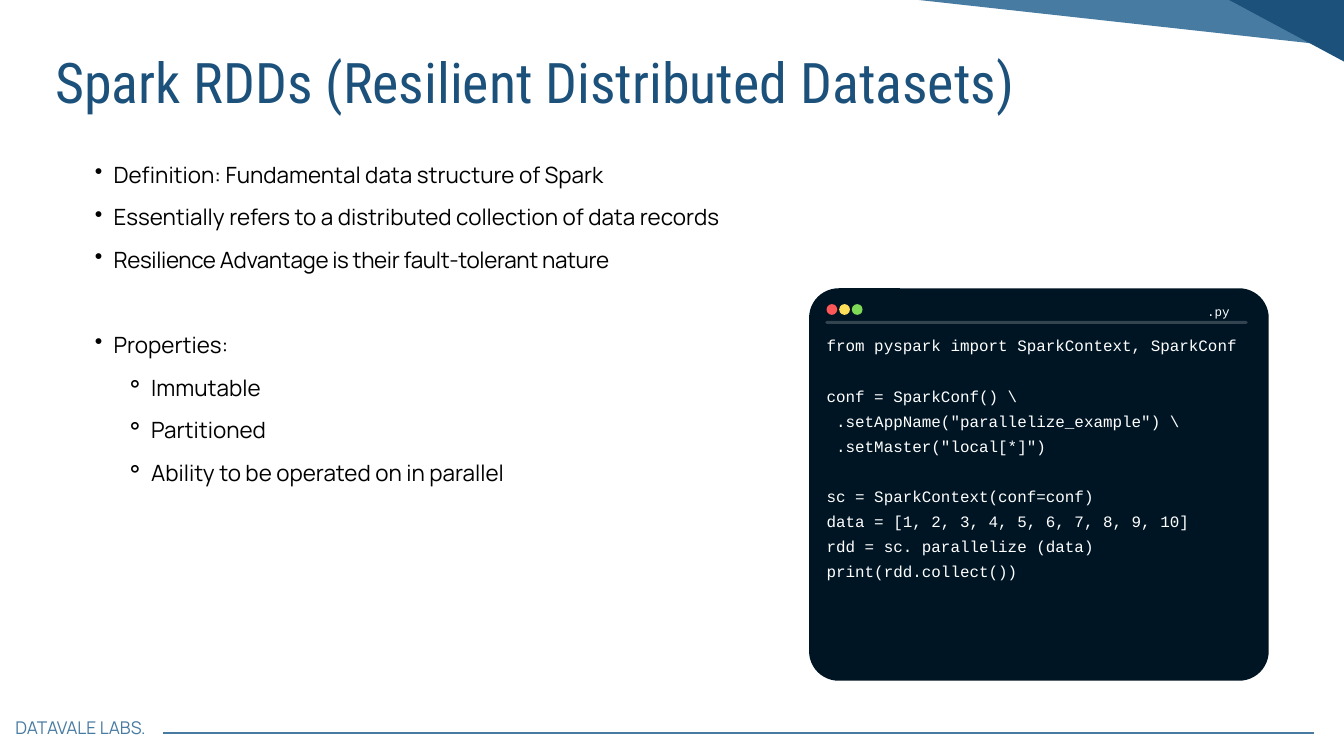
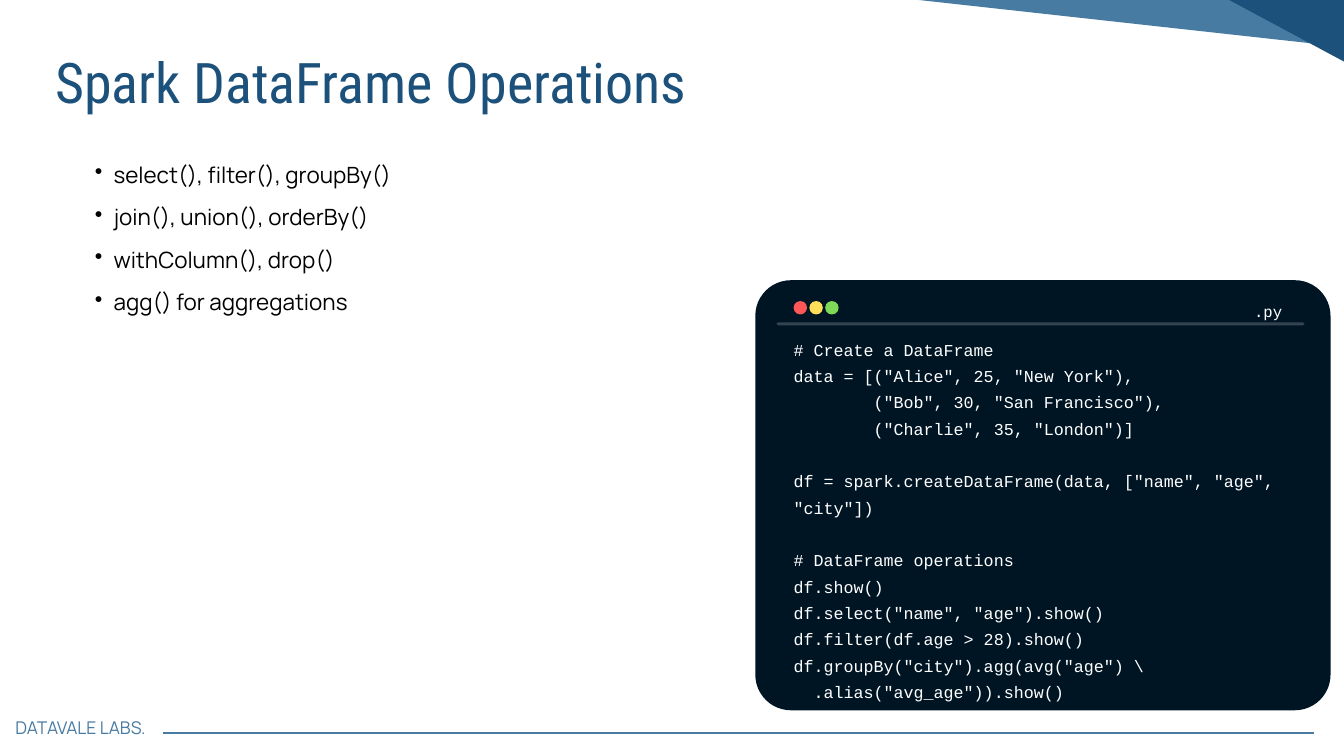
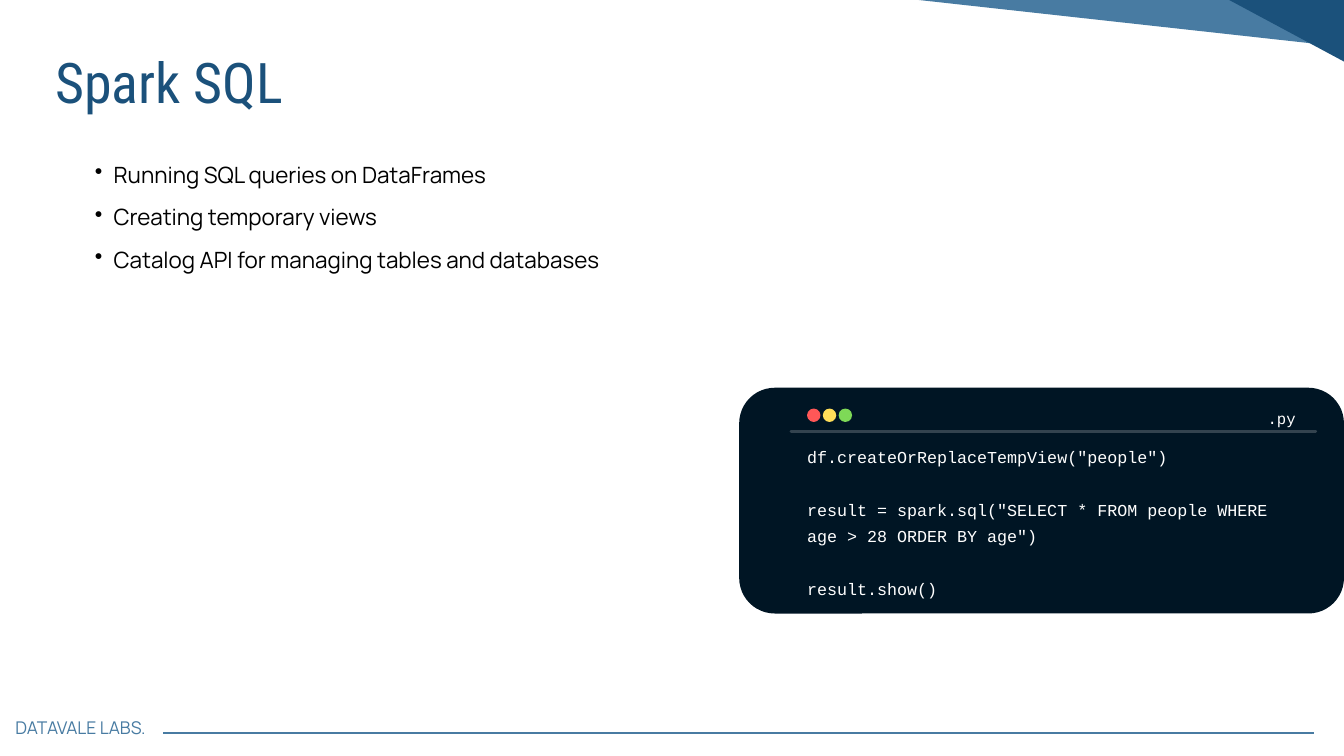
from lxml import etree
from pptx import Presentation
from pptx.dml.color import RGBColor
from pptx.enum import shapes as kinds, text
from pptx.oxml import ns
from pptx.util import Inches, Pt

HUES = {"navy": "1B517B", "steel": "487BA2", "night": "001524", "black": "000000",
        "white": "FFFFFF", "red": "FF5757", "gold": "FFDE59", "green": "7ED957"}
KIND = kinds.MSO_SHAPE
MARKS = {1: ("•", 0.57, -0.28), 2: ("⚬", 1.13, -0.38)}
BANDS = [((16.52, -3.26, 0.59, 6.62), 96.3, "steel"),
         ((18.9, -0.99, 0.89, 2.1), 298.2, "navy")]
MONO = "Courier New"

# Places in a window: panel box, corner radius, left of rule, rule weight,
# code box (left, top, width, height), right edge of the tag, scale of the bar
PAGES = [
    {"title": "Spark RDDs (Resilient Distributed Datasets)",
     "points": [(1, "Definition: Fundamental data structure of Spark"),
                (1, "Essentially refers to a distributed collection of data records"),
                (1, "Resilience Advantage is their fault-tolerant nature"),
                (0, ""),
                (1, "Properties:"),
                (2, "Immutable"),
                (2, "Partitioned"),
                (2, "Ability to be operated on in parallel")],
     "panel": (12.04, 4.29, 6.84, 5.84), "round": 0.44,
     "rule": 12.3, "weight": 3, "box": (12.3, 4.91, 6.41, 3.97), "right": 18.3,
     "scale": 0.8, "size": 17, "lead": 26.9,
     "code": r'''from pyspark import SparkContext, SparkConf

conf = SparkConf() \
 .setAppName("parallelize_example") \
 .setMaster("local[*]")

sc = SparkContext(conf=conf)
data = [1, 2, 3, 4, 5, 6, 7, 8, 9, 10]
rdd = sc. parallelize (data)
print(rdd.collect())'''},
    {"title": "Spark DataFrame Operations",
     "points": [(1, "select(), filter(), groupBy()"),
                (1, "join(), union(), orderBy()"),
                (1, "withColumn(), drop()"),
                (1, "agg() for aggregations")],
     "panel": (11.24, 4.17, 8.56, 6.4), "round": 0.53,
     "rule": 11.58, "weight": 3.42, "box": (11.81, 4.96, 7.27, 5.28), "right": 19.08,
     "scale": 1, "size": 17.9, "lead": 28.2,
     "code": r'''# Create a DataFrame
data = [("Alice", 25, "New York"),
        ("Bob", 30, "San Francisco"),
        ("Charlie", 35, "London")]

df = spark.createDataFrame(data, ["name", "age", "city"])

# DataFrame operations
df.show()
df.select("name", "age").show()
df.filter(df.age > 28).show()
df.groupBy("city").agg(avg("age") \
  .alias("avg_age")).show()'''},
    {"title": "Spark SQL",
     "points": [(1, "Running SQL queries on DataFrames"),
                (1, "Creating temporary views"),
                (1, "Catalog API for managing tables and databases")],
     "panel": (11, 5.77, 9, 3.36), "round": 0.53,
     "rule": 11.77, "weight": 3, "box": (12.01, 6.56, 7.27, 2.24), "right": 19.28,
     "scale": 1, "size": 17.9, "lead": 28.2,
     "code": '''df.createOrReplaceTempView("people")

result = spark.sql("SELECT * FROM people WHERE age > 28 ORDER BY age")

result.show()'''},
]


def write(tree, box, lines, font, size, hue, lead):
    """Add a text box; an empty line becomes space before the next one."""
    frame = tree.add_textbox(*map(Inches, box)).text_frame
    frame.word_wrap = True
    frame.margin_left = frame.margin_right = frame.margin_top = frame.margin_bottom = 0
    gap = 0
    para = frame.paragraphs[0]
    for row, line in enumerate(lines):
        if not line:
            gap = lead
            continue
        if row:
            para = frame.add_paragraph()
        para.line_spacing = Pt(lead)
        if gap:
            para.space_before = Pt(gap)
            gap = 0
        run = para.add_run()
        run.text = line
        run.font.name, run.font.size = font, Pt(size)
        run.font.color.rgb = RGBColor.from_string(HUES[hue])
    return frame


def draw(tree, kind, box, hue):
    """Add a flat filled shape, or a flat line when kind is None."""
    if kind is None:
        item = tree.add_connector(kinds.MSO_CONNECTOR.STRAIGHT, *map(Inches, box))
        item.line.color.rgb = RGBColor.from_string(HUES[hue])
        etree.SubElement(item._element.spPr, ns.qn("a:effectLst"))
        return item
    item = tree.add_shape(kind, *map(Inches, box))
    item.shadow.inherit = False
    item.fill.solid()
    item.fill.fore_color.rgb = RGBColor.from_string(HUES[hue])
    item.line.fill.background()
    return item


deck = Presentation()
deck.slide_width, deck.slide_height = Inches(20), Inches(11.25)

for page in PAGES:
    tree = deck.slides.add_slide(deck.slide_layouts[6]).shapes

    # Title, bands and footer
    write(tree, (0.82, 0.71, 18.26, 1.02), [page["title"]], "Roboto Condensed", 60, "navy", 72)
    for box, turn, hue in BANDS:
        draw(tree, KIND.RECTANGLE, box, hue).rotation = turn
    write(tree, (0.23, 10.67, 2.2, 0.33), ["DATAVALE LABS."], "Manrope", 18.8, "steel", 22.6)
    draw(tree, None, (2.43, 10.91, 19.56, 10.91), "steel").line.width = Pt(1.5)

    # Bullet points
    points = page["points"]
    frame = write(tree, (1.12, 2.16, 14.91, 0.62 * len(points)),
                  [line for level, line in points], "Manrope", 24, "black", 45.6)
    levels = [level for level, line in points if line]
    for para, level in zip(frame.paragraphs, levels):
        mark, left, hang = MARKS[level]
        para.level = level
        props = para._p.get_or_add_pPr()
        props.set("marL", str(Inches(left)))
        props.set("indent", str(Inches(hang)))
        etree.SubElement(props, ns.qn("a:buChar")).set("char", mark)
        for run in para.runs:
            if run.text.startswith("Resilience"):
                run._r.get_or_add_rPr().set("spc", "-40")

    # Code window
    win = tree.add_group_shape().shapes
    panel = draw(win, KIND.ROUNDED_RECTANGLE, page["panel"], "night")
    panel.adjustments[0] = page["round"] / min(page["panel"][2:])
    left, top = page["box"][:2]
    scale, start = page["scale"], page["rule"]
    level = top - 0.14 * scale
    rule = draw(win, None, (start, level, start + 7.81 * scale, level), "white")
    rule.line.width = Pt(page["weight"])
    rule.line._ln.set("cap", "rnd")
    tint = rule._element.spPr.find(".//" + ns.qn("a:srgbClr"))
    etree.SubElement(tint, ns.qn("a:alpha")).set("val", "20000")
    write(win, page["box"], page["code"].split("\n"), MONO, page["size"], "white", page["lead"])
    dot = 0.2 * scale
    for spot, hue in enumerate(("red", "gold", "green")):
        draw(win, KIND.OVAL, (left + 0.235 * scale * spot, top - 0.48 * scale, dot, dot), hue)
    wide = 4.33 * scale
    tag = write(win, (page["right"] - wide, top - 0.56 * scale, wide, 0.32 * scale),
                [".py"], MONO, round(16.7 * scale, 1), "white", round(26.4 * scale, 1))
    tag.paragraphs[0].alignment = text.PP_ALIGN.RIGHT

deck.save("out.pptx")
